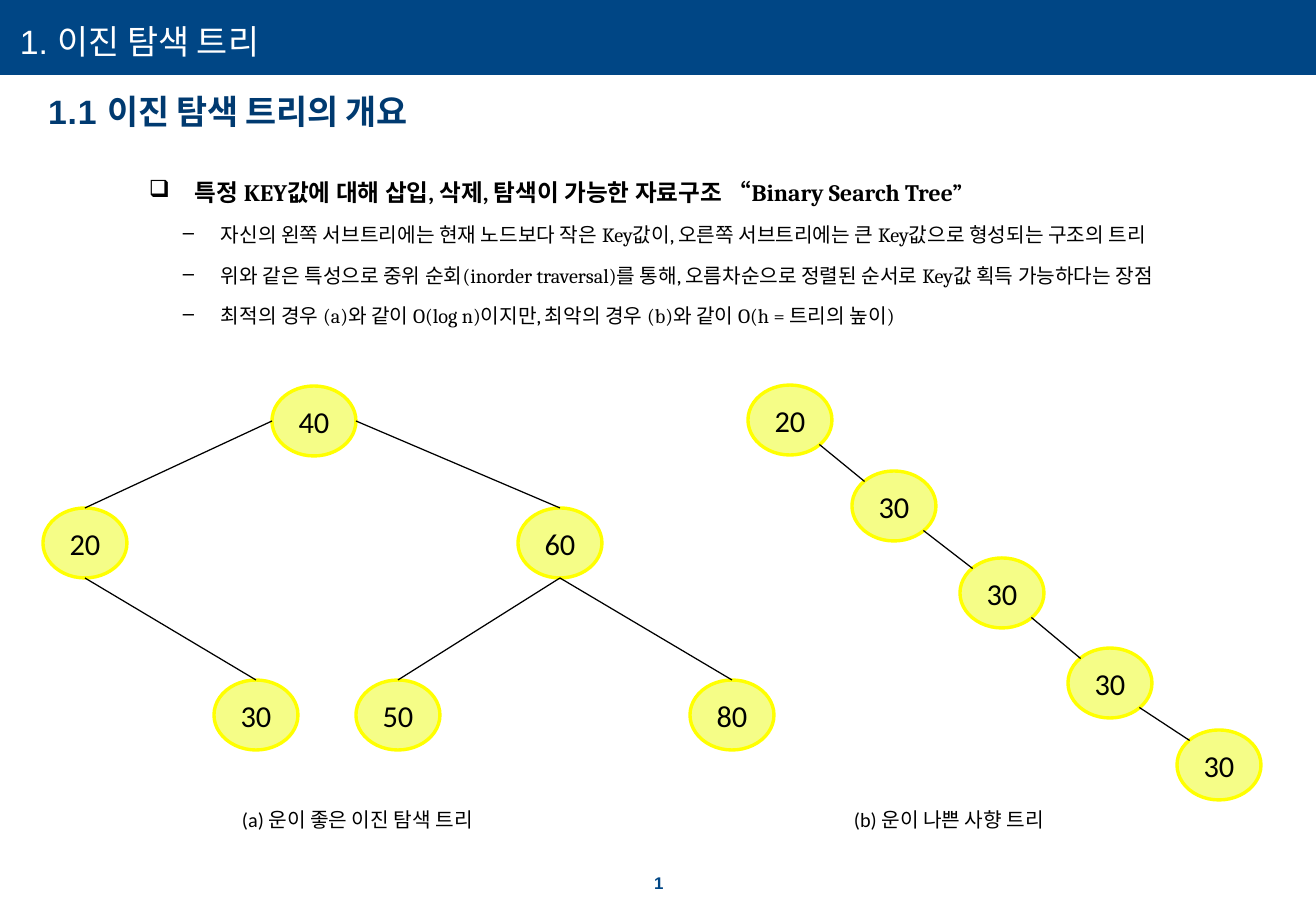
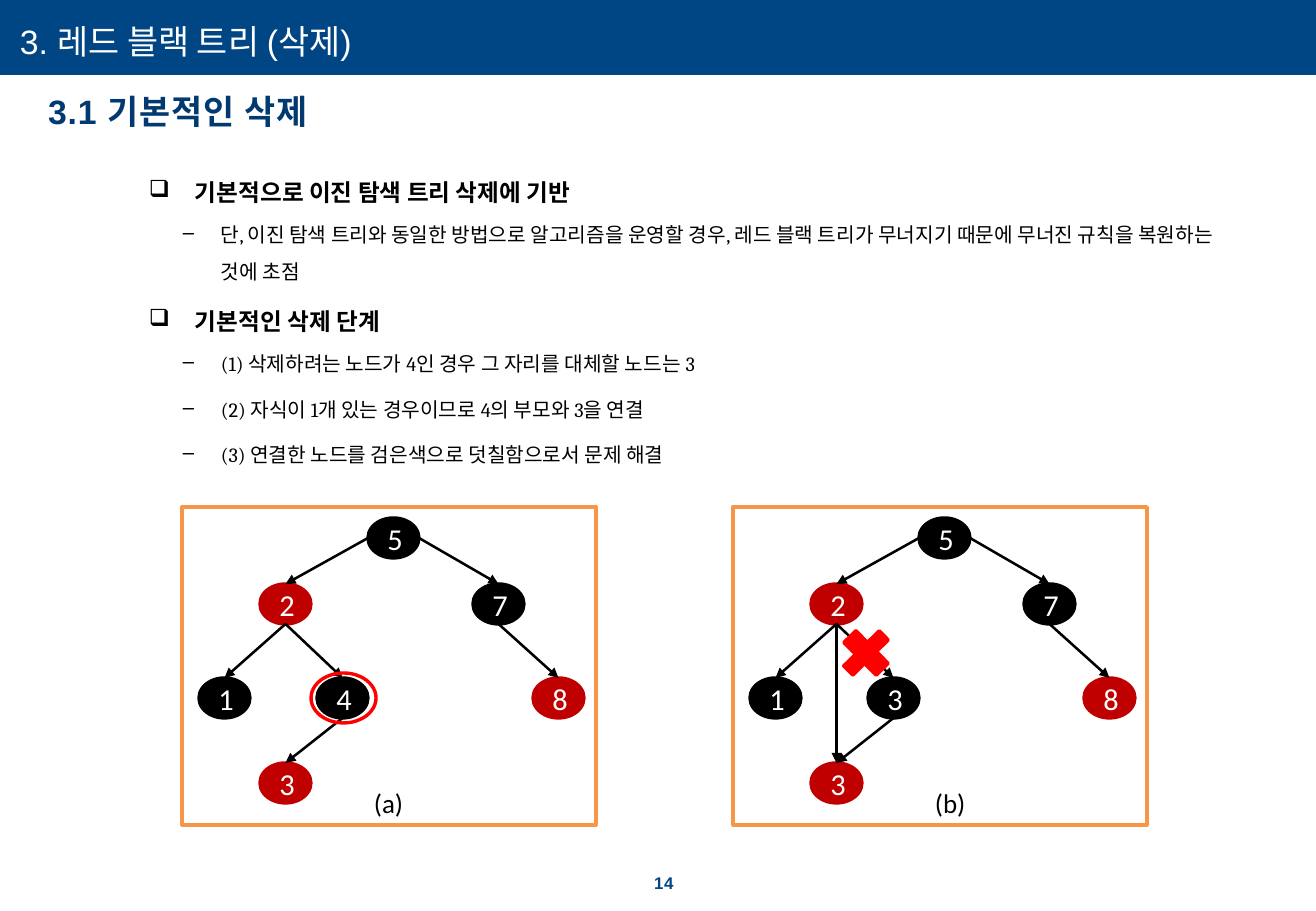
"""Builds two slides on binary search trees and red-black tree deletion."""
from lxml import etree
from pptx import Presentation
from pptx import util as u
from pptx.dml.color import RGBColor
from pptx.enum import shapes, text
from pptx.oxml.ns import qn

NAVY = RGBColor(0x00, 0x46, 0x85)
INK = RGBColor(0x00, 0x3A, 0x70)
WHITE = RGBColor(0xFF, 0xFF, 0xFF)
BLACK = RGBColor(0x00, 0x00, 0x00)
LEMON = RGBColor(0xF5, 0xFD, 0x87)
YELLOW = RGBColor(0xFF, 0xFF, 0x00)
CRIMSON = RGBColor(0xC0, 0x00, 0x00)
RED = RGBColor(0xFF, 0x00, 0x00)
ORANGE = RGBColor(0xF7, 0x96, 0x46)
SCALE = 914400 / 121.5
KIND = shapes.MSO_SHAPE

STYLES = {
    "title": dict(size=20, name="Arial", color=WHITE, left=1),
    "section": dict(size=20, name="Arial", color=INK, bold=True, left=1),
    "number": dict(size=10, name="Arial", color=NAVY, bold=True, spc=50, left=9,
                   line_spacing=u.Pt(10.9)),
    "head": dict(size=14, name="Cambria", color=BLACK, bold=True, left=46, hang=-46,
                 bullet="❑", line_spacing=1.5, space_before=u.Pt(2.8)),
    "item": dict(size=12, name="Cambria", color=BLACK, left=72, hang=-38, level=1,
                 bullet="–", line_spacing=1.5, space_before=u.Pt(2.4)),
    "caption": dict(size=12, name="Calibri", color=BLACK),
    "tag": dict(size=16, name="Calibri", color=BLACK),
    "dark": dict(size=18, name="Calibri", color=BLACK, alignment=text.PP_ALIGN.CENTER),
    "light": dict(size=18, name="Calibri", color=WHITE, alignment=text.PP_ALIGN.CENTER),
}


def write(tf, lines):
    """Fill a text frame with (style, text or [(text, spacing)]) paragraphs."""
    for i, (style, content) in enumerate(lines):
        fmt = STYLES[style]
        p = tf.add_paragraph() if i else tf.paragraphs[0]
        for key in ("alignment", "level", "line_spacing", "space_before"):
            if key in fmt:
                setattr(p, key, fmt[key])
        pPr = p._p.get_or_add_pPr()
        for attr, key in (("marL", "left"), ("indent", "hang")):
            pPr.set(attr, str(round(fmt.get(key, 0) * SCALE)))
        if "bullet" in fmt:
            etree.SubElement(pPr, qn("a:buChar")).set("char", fmt["bullet"])
        runs = content if isinstance(content, list) else [(content, fmt.get("spc", 0))]
        for words, spc in runs:
            r = p.add_run()
            r.text = words
            r.font.size = u.Pt(fmt["size"])
            r.font.name = fmt["name"]
            r.font.bold = fmt.get("bold", False)
            r.font.color.rgb = fmt["color"]
            r._r.get_or_add_rPr().set("spc", str(spc))


def draw(s, kind, box, fill=None, line=None):
    """Add a flat 2 pt outlined shape at a pixel box."""
    sp = s.shapes.add_shape(kind, *(u.Emu(round(v * SCALE)) for v in box))
    sp.shadow.inherit = False
    if fill is None:
        sp.fill.background()
    else:
        sp.fill.solid()
        sp.fill.fore_color.rgb = fill
    if line is None:
        sp.line.fill.background()
    else:
        sp.line.color.rgb = line
        sp.line.width = u.Pt(2)
    return sp


prs = Presentation()
prs.slide_width, prs.slide_height = (u.Emu(round(v * SCALE)) for v in (1316, 911))
search, removal = (prs.slides.add_slide(prs.slide_layouts[6]) for _ in range(2))

headings = [
    (search, "1. 이진 탐색 트리", [("1.1 ", 50), ("이진 탐색 트리의 개요", -20)], "1"),
    (removal, "3. 레드 블랙 트리 (삭제)", [("3.1 기본적인 삭제", 50)], "14"),
]
boxes = []
for s, title, section, number in headings:
    draw(s, KIND.RECTANGLE, (0, 0, 1316, 75), NAVY)
    boxes += [
        (s, (19, 21, 652, 41), 0, True, [("title", title)]),
        (s, (47, 91, 803, 41), 0, True, [("section", section)]),
        (s, (645, 875, 32, 18), 0, True, [("number", number)]),
    ]

boxes += [
    (search, (137, 158, 1108, 245), 1, True, [
        ("head", "특정 KEY값에 대해 삽입, 삭제, 탐색이 가능한 자료구조 “Binary Search Tree”"),
        ("item", "자신의 왼쪽 서브트리에는 현재 노드보다 작은 Key값이, "
                 "오른쪽 서브트리에는 큰 Key값으로 형성되는 구조의 트리"),
        ("item", "위와 같은 특성으로 중위 순회(inorder traversal)를 통해, "
                 "오름차순으로 정렬된 순서로 Key값 획득 가능하다는 장점"),
        ("item", "최적의 경우 (a)와 같이 O(log n)이지만, "
                 "최악의 경우 (b)와 같이 O(h = 트리의 높이)")]),
    (search, (230, 801, 275, 36), 1, False, [("caption", "(a) 운이 좋은 이진 탐색 트리")]),
    (search, (842, 801, 230, 36), 1, False, [("caption", "(b) 운이 나쁜 사향 트리")]),
    (removal, (137, 158, 1108, 245), 1, True, [
        ("head", "기본적으로 이진 탐색 트리 삭제에 기반"),
        ("item", "단, 이진 탐색 트리와 동일한 방법으로 알고리즘을 운영할 경우, "
                 "레드 블랙 트리가 무너지기 때문에 무너진 규칙을 복원하는 것에 초점")]),
    (removal, (137, 287, 1108, 85), 1, True, [
        ("head", "기본적인 삭제 단계"),
        ("item", "(1) 삭제하려는 노드가 4인 경우 그 자리를 대체할 노드는 3")]),
    (removal, (137, 379, 1108, 49), 1, True, [
        ("item", "(2) 자식이 1개 있는 경우이므로 4의 부모와 3을 연결")]),
    (removal, (137, 424, 1108, 49), 1, True, [
        ("item", "(3) 연결한 노드를 검은색으로 덧칠함으로서 문제 해결")]),
    (removal, (362, 781, 55, 45), 1, False, [("tag", "(a)")]),
    (removal, (923, 781, 56, 45), 1, False, [("tag", "(b)")]),
]

SIDES = {"top": (0.5, 0), "bottom": (0.5, 1), "left": (0, 0.5), "right": (1, 0.5),
         "nw": (0.15, 0.15), "se": (0.85, 0.85)}
balanced = {40: (272, 386), 20: (43, 508), 60: (518, 508),
            30: (214, 680), 50: (356, 680), 80: (690, 680)}
balanced_edges = [(40, "left", 20, "top"), (40, "right", 60, "top"),
                  (20, "bottom", 30, "top"), (60, "bottom", 50, "top"),
                  (60, "bottom", 80, "top")]
skewed = [(748, 385), (852, 471), (960, 558), (1068, 648), (1177, 730)]
skewed_edges = [(i, "se", i + 1, "nw") for i in range(4)]
colored = {5: (368, 518), 2: (260, 584), 7: (473, 584), 1: (199, 678),
           4: (317, 678), 8: (533, 678), 3: (260, 763)}
colored_edges = [(5, "left", 2, "top"), (5, "right", 7, "top"), (2, "bottom", 1, "top"),
                 (2, "bottom", 4, "top"), (4, "bottom", 3, "top"), (7, "bottom", 8, "top")]

SHIFT = 551
trees = [
    (search, (84, 70), 0.75,
     {k: (x, y, k, LEMON, YELLOW, "dark") for k, (x, y) in balanced.items()}, balanced_edges),
    (search, (84, 70), 0.75,
     {i: (x, y, 30 if i else 20, LEMON, YELLOW, "dark") for i, (x, y) in enumerate(skewed)},
     skewed_edges),
]
for shift, replaced, extra in ((0, {}, []), (SHIFT, {4: 3}, [(2, "bottom", 3, "top")])):
    nodes = {}
    for key, (x, y) in colored.items():
        color = CRIMSON if key in (2, 8, 3) else BLACK
        nodes[key] = (x + shift, y, replaced.get(key, key), color, color, "light")
    trees.append((removal, (51, 40), 1.5, nodes, colored_edges + extra))

for s, (w, h), weight, nodes, edges in trees:
    for x, y, label, fill, line, style in nodes.values():
        sp = draw(s, KIND.OVAL, (x, y, w, h), fill, line)
        sp.text_frame.vertical_anchor = text.MSO_ANCHOR.MIDDLE
        write(sp.text_frame, [(style, str(label))])
    for start, leave, end, arrive in edges:
        points = []
        for key, side in ((start, leave), (end, arrive)):
            fx, fy = SIDES[side]
            points += [nodes[key][0] + fx * w, nodes[key][1] + fy * h]
        c = s.shapes.add_connector(shapes.MSO_CONNECTOR.STRAIGHT,
                                   *(u.Emu(round(v * SCALE)) for v in points))
        c.line.color.rgb = BLACK
        c.line.width = u.Pt(weight)
        if s is removal:
            etree.SubElement(c.line._get_or_add_ln(), qn("a:tailEnd")).set("type", "triangle")
        etree.SubElement(c._element.spPr, qn("a:effectLst"))

cross = draw(removal, KIND.CROSS, (843, 628, 46, 50), RED, RED)
cross.adjustments[0] = 0.36
cross.rotation = 45.3
for shift in (0, SHIFT):
    draw(removal, KIND.RECTANGLE, (182, 507, 414, 318), line=ORANGE).left += round(shift * SCALE)
draw(removal, KIND.OVAL, (311, 673, 65, 50), line=RED)

for s, box, inset, wrap, lines in boxes:
    tf = s.shapes.add_textbox(*(u.Emu(round(v * SCALE)) for v in box)).text_frame
    tf.word_wrap = wrap
    if not wrap:
        tf.auto_size = text.MSO_AUTO_SIZE.SHAPE_TO_FIT_TEXT
    for edge, margin in dict(left=0.1, right=0.1, top=0.05, bottom=0.05).items():
        setattr(tf, "margin_" + edge, u.Inches(margin * inset))
    write(tf, lines)

prs.save("out.pptx")
